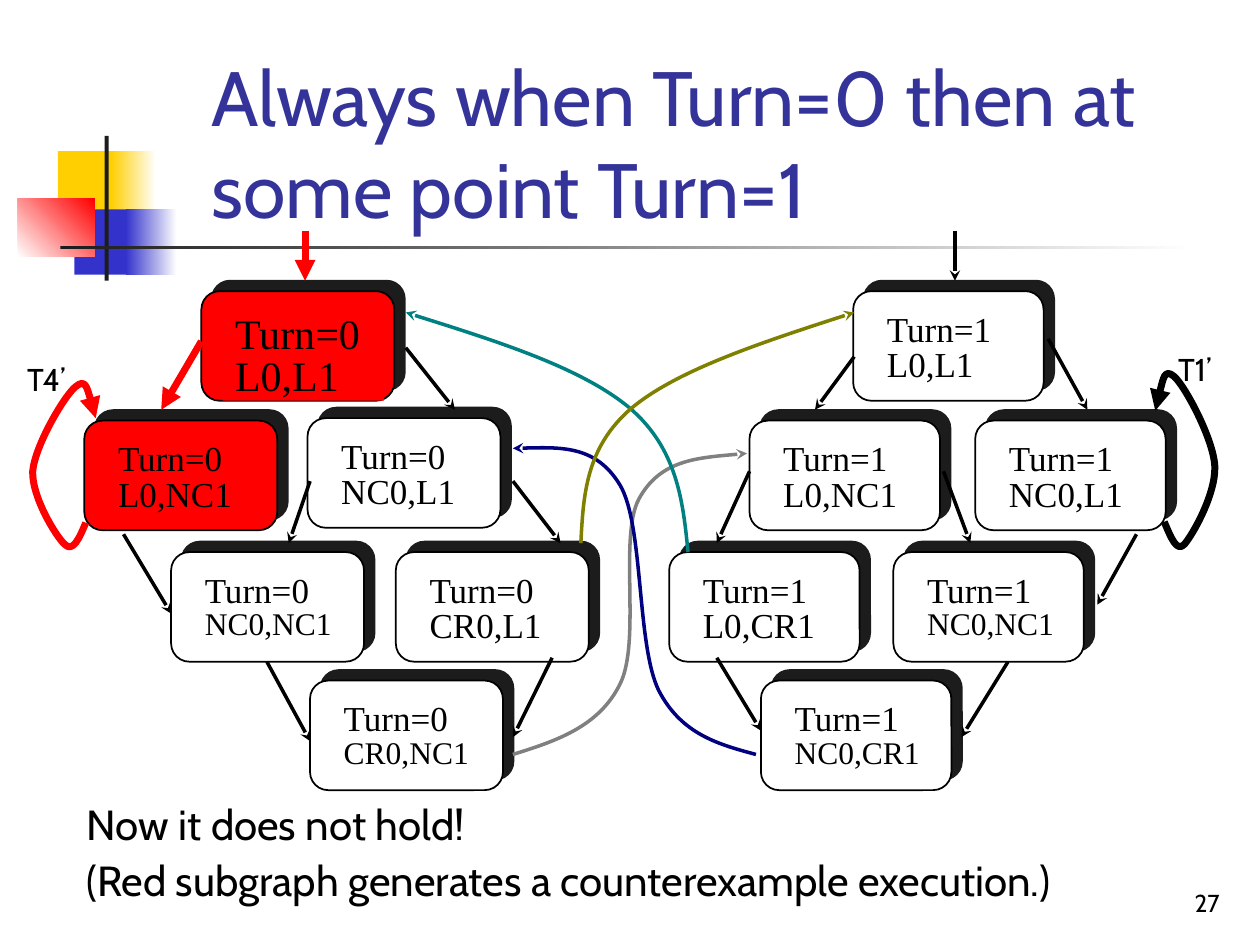
import pptx
import pptx.dml.color
import pptx.enum.shapes
import pptx.enum.text
import pptx.oxml.ns
import pptx.util
from lxml import etree

Cm, Pt = pptx.util.Cm, pptx.util.Pt
Rgb = pptx.dml.color.RGBColor.from_string
Kind = pptx.enum.shapes.MSO_SHAPE
Anchor, Align = pptx.enum.text.MSO_ANCHOR, pptx.enum.text.PP_ALIGN
qn = pptx.oxml.ns.qn

theme = {
    "sans": "Cabin", "serif": "Times New Roman",
    "title": 44, "body": 24, "label": 18, "page": 14, "state": 20, "small": 18,
    "black": "000000", "white": "FFFFFF", "red": "FF0000", "ink": "333399",
    "dark": "1C1C1C", "gold": "FFCF01", "blue": "3333CC", "grey": "808080",
    "navy": "000080", "teal": "008080", "olive": "808000",
}


def write(frame, rows, font, color="black", align=Align.LEFT, anchor=Anchor.TOP):
    """Fill a frame; each row is (text, size, line spacing, space before)."""
    frame.word_wrap = True
    frame.auto_size = pptx.enum.text.MSO_AUTO_SIZE.NONE
    frame.vertical_anchor = anchor
    for i, (text, size, lead, gap) in enumerate(rows):
        par = frame.add_paragraph() if i else frame.paragraphs[0]
        par.alignment, par.line_spacing = align, lead
        if i:
            par.space_before = Pt(gap)
        run = par.add_run()
        run.text = text
        run.font.name, run.font.size = theme[font], Pt(size)
        run.font.color.rgb = Rgb(theme[color])


def stroke(shape, color, width, head):
    """Colour a line and put an arrowhead at its end."""
    shape.line.color.rgb = Rgb(theme[color])
    shape.line.width = Pt(width)
    etree.SubElement(shape.line._get_or_add_ln(), qn("a:tailEnd"), type=head)


deck = pptx.Presentation()
deck.slide_width, deck.slide_height = Cm(25.4), Cm(19.05)
slide = deck.slides.add_slide(deck.slide_layouts[5])
shapes = slide.shapes

# Corner ornament: place, first colour, last colour, angle
for box, start, end, angle in [
    ((1.17, 3.05, 1.22, 1.32), "gold", None, 0),
    ((2.24, 3.05, 0.91, 1.32), "gold", "white", 0),
    ((1.5, 4.22, 1.17, 1.32), "blue", None, 0),
    ((2.54, 4.22, 1.02, 1.32), "blue", "white", 0),
    ((0.36, 4.01, 1.55, 1.17), "white", "red", 45),
    ((2.11, 2.74, 0.08, 2.92), "dark", None, 0),
    ((1.22, 4.95, 22.86, 0.08), "dark", "white", 0),
]:
    block = shapes.add_shape(Kind.RECTANGLE, *map(Cm, box))
    block.shadow.inherit = False
    block.line.fill.background()
    if end:
        block.fill.gradient()
        block.fill.gradient_angle = angle
        for stop, tone in zip(block.fill.gradient_stops, (start, end)):
            stop.color.rgb = Rgb(theme[tone])
    else:
        block.fill.solid()
        block.fill.fore_color.rgb = Rgb(theme[start])

title = shapes.title
title.left, title.top, title.width, title.height = map(Cm, (4.01, 1.27, 19.48, 3.18))
write(title.text_frame, [("Always when Turn=0 then at some point Turn=1", theme["title"], 1.0, 0)],
      "sans", "ink", anchor=Anchor.MIDDLE)

# States: left, top, turn, label, fill
for left, top, turn, label, fill in [
    (4.06, 5.87, 0, "L0,L1", "red"),
    (1.7, 8.48, 0, "L0,NC1", "red"),
    (6.2, 8.43, 0, "NC0,L1", "white"),
    (6.25, 13.72, 0, "CR0,NC1", "white"),
    (3.45, 11.13, 0, "NC0,NC1", "white"),
    (7.98, 11.13, 0, "CR0,L1", "white"),
    (13.49, 11.13, 1, "L0,CR1", "white"),
    (15.34, 13.72, 1, "NC0,CR1", "white"),
    (15.11, 8.48, 1, "L0,NC1", "white"),
    (18.01, 11.13, 1, "NC0,NC1", "white"),
    (19.66, 8.48, 1, "NC0,L1", "white"),
    (17.2, 5.87, 1, "L0,L1", "white"),
]:
    width = 3.84 if turn else 3.89
    first = (turn, label) == (0, "L0,L1")
    size = theme["body"] if first else theme["state"]
    low = theme["small"] if len(label) == 7 else size
    group = shapes.add_group_shape().shapes
    card = group.add_shape(Kind.ROUNDED_RECTANGLE, Cm(left), Cm(top), Cm(width), Cm(2.21))
    card.fill.solid()
    card.fill.fore_color.rgb = Rgb(theme[fill])
    card.line.color.rgb = Rgb(theme["black"])
    card.line.width = Pt(1)
    card.shadow.inherit = False
    cast = etree.SubElement(card._element.spPr.find(qn("a:effectLst")), qn("a:outerShdw"),
                            dist=str(Pt(8.5)), dir="18900000", algn="ctr", rotWithShape="0")
    etree.SubElement(cast, qn("a:srgbClr"), val=theme["dark"])
    text = group.add_textbox(Cm(left + 0.43), Cm(top + 0.2), Cm(width - 0.64),
                             Cm(2.01 if first else 1.7))
    if fill == "red":
        text.fill.solid()
        text.fill.fore_color.rgb = Rgb(theme["red"])
    write(text.text_frame, [(f"Turn={turn}", size, 1.0, 0), (label, low, 0.2, low * 0.625)], "serif")

# Straight steps: from x, y to x, y
plain, bold, dot = ("black", 2, "stealth"), ("red", 4, "triangle"), ("black", 0.75, "triangle")
for x1, y1, x2, y2, style in [
    (8.18, 7.01, 9.17, 8.26, plain),
    (4.06, 6.88, 3.25, 8.26, bold),
    (10.34, 9.7, 11.3, 10.95, plain),
    (5.38, 13.34, 6.25, 14.94, plain),
    (11.13, 13.26, 10.34, 14.86, plain),
    (6.25, 9.7, 5.82, 10.95, plain),
    (15.11, 9.5, 14.45, 10.95, plain),
    (22.91, 10.77, 22.12, 12.19, plain),
    (14.45, 13.26, 15.34, 14.73, plain),
    (20.32, 13.34, 19.38, 14.86, plain),
    (19.02, 9.5, 19.56, 10.95, plain),
    (6.15, 4.65, 6.15, 5.66, bold),
    (19.25, 4.65, 19.25, 5.66, plain),
    (21.13, 6.83, 21.92, 8.26, plain),
    (17.25, 6.3, 17.25, 6.3, dot),
    (2.49, 10.77, 3.45, 12.37, plain),
    (17.22, 7.19, 16.43, 8.26, plain),
]:
    step = shapes.add_connector(pptx.enum.shapes.MSO_CONNECTOR.STRAIGHT, *map(Cm, (x1, y1, x2, y2)))
    stroke(step, *style)
    etree.SubElement(step._element.spPr, qn("a:effectLst"))

# Curved steps: a start point, then three Bézier points for each arc
for color, width, head, spots in [
    ("grey", 2, "stealth", [
        (10.34, 15.21), (11.2, 14.94), (12.07, 14.66), (12.5, 13.79), (12.93, 12.93),
        (12.47, 10.82), (12.88, 10.06), (13.31, 9.27), (14.17, 9.22), (15.06, 9.14)]),
    ("navy", 2, "stealth", [
        (15.24, 15.21), (14.5, 15.01), (13.74, 14.81), (13.28, 13.92), (12.83, 13),
        (12.98, 10.59), (12.5, 9.78), (12.01, 8.97), (11.18, 9.02), (10.34, 9.04)]),
    ("teal", 2, "stealth", [
        (13.87, 11.13), (13.77, 10.08), (13.64, 9.04), (12.7, 8.23),
        (11.73, 7.42), (9.96, 6.86), (8.18, 6.3)]),
    ("olive", 2, "stealth", [
        (11.71, 10.95), (11.76, 9.98), (11.81, 9.02), (12.73, 8.23),
        (13.64, 7.47), (15.42, 6.88), (17.22, 6.3)]),
    ("red", 4, "triangle", [
        (1.73, 10.54), (1.6, 10.85), (1.47, 11.15), (1.3, 10.97), (1.12, 10.8),
        (0.64, 10.01), (0.66, 9.5), (0.71, 8.97), (1.3, 7.98), (1.52, 7.8),
        (1.73, 7.62), (1.83, 8.03), (1.93, 8.43)]),
    ("black", 4, "triangle", [
        (23.47, 10.52), (23.6, 10.82), (23.72, 11.15), (23.88, 10.97), (24.05, 10.77),
        (24.51, 9.96), (24.49, 9.4), (24.46, 8.84), (23.88, 7.77), (23.67, 7.59),
        (23.47, 7.42), (23.39, 7.85), (23.29, 8.28)]),
]:
    spots = [(Cm(x), Cm(y)) for x, y in spots]
    pen = shapes.build_freeform(*spots[0])
    pen.add_line_segments(spots[1:], close=False)
    curve = pen.convert_to_shape()
    curve.fill.background()
    curve.shadow.inherit = False
    stroke(curve, color, width, head)
    track = next(curve._element.iter(qn("a:path")))
    legs = track.findall(qn("a:lnTo"))
    for i in range(0, len(legs), 3):
        arc = etree.SubElement(track, qn("a:cubicBezTo"))
        for leg in legs[i:i + 3]:
            arc.append(leg[0])
            track.remove(leg)

# Remarks, loop labels and page number
for box, rows, align, anchor in [
    ((1.5, 16.33, 22.66, 2.01),
     [("Now it does not hold!", theme["body"], 0.6, 0),
      ("(Red subgraph generates a counterexample execution.)", theme["body"], 0.6, 15)],
     Align.LEFT, Anchor.TOP),
    ((0.3, 7.14, 1.7, 1.02), [("T4’", theme["label"], 1.0, 0)], Align.LEFT, Anchor.TOP),
    ((23.5, 6.93, 1.6, 1.02), [("T1’", theme["label"], 1.0, 0)], Align.LEFT, Anchor.TOP),
    ((19.56, 17.35, 5.28, 1.27), [("27", theme["page"], 1.0, 0)], Align.RIGHT, Anchor.BOTTOM),
]:
    note = shapes.add_textbox(*map(Cm, box))
    write(note.text_frame, rows, "sans", align=align, anchor=anchor)

deck.save("out.pptx")
